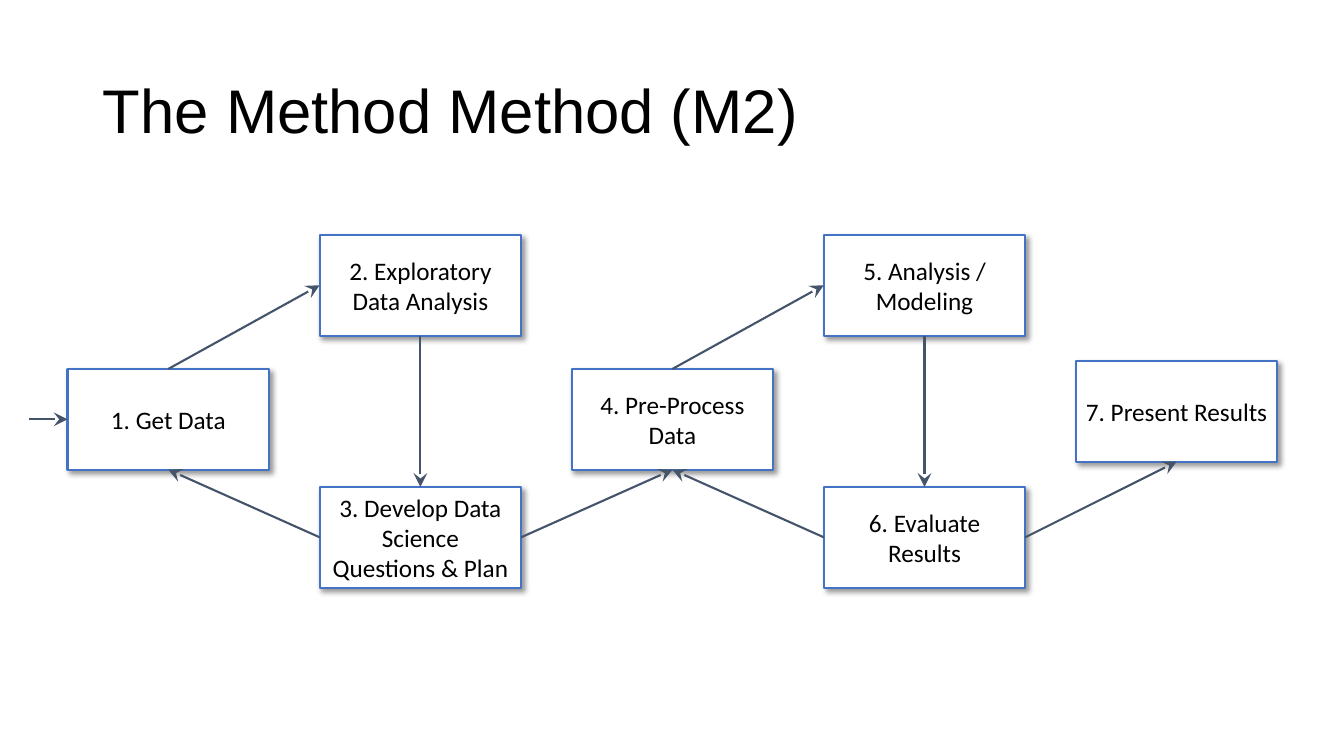
import pptx
import pptx.util
import pptx.dml.color
import pptx.enum.shapes
import pptx.enum.text
import pptx.oxml
import pptx.oxml.ns
from lxml import etree

Inches = pptx.util.Inches
RGBColor = pptx.dml.color.RGBColor
Align = pptx.enum.text.PP_ALIGN
Anchor = pptx.enum.text.MSO_ANCHOR
AutoSize = pptx.enum.text.MSO_AUTO_SIZE
qn = pptx.oxml.ns.qn

BLACK = RGBColor(0x00, 0x00, 0x00)
WHITE = RGBColor(0xFF, 0xFF, 0xFF)
BLUE = RGBColor(0x44, 0x72, 0xC4)
SLATE = RGBColor(0x44, 0x54, 0x6A)

TOP, LEFT, BOTTOM, RIGHT = range(4)
BOX_WIDTH, BOX_HEIGHT = 2, 1
FIRST_LEFT, COLUMN_STEP = 0.67, 2.5
UPPER, MIDDLE, LAST, LOWER = 2.33, 3.66, 3.58, 4.83

# step number: (label, column, top)
STEPS = {
    1: ("1. Get Data", 0, MIDDLE),
    2: ("2. Exploratory Data Analysis", 1, UPPER),
    3: ("3. Develop Data Science Questions & Plan", 1, LOWER),
    4: ("4. Pre-Process Data", 2, MIDDLE),
    5: ("5. Analysis / Modeling", 3, UPPER),
    6: ("6. Evaluate Results", 3, LOWER),
    7: ("7. Present Results", 4, LAST),
}

# (from step, side, to step, side)
FLOWS = [
    (1, TOP, 2, LEFT),
    (2, BOTTOM, 3, TOP),
    (3, LEFT, 1, BOTTOM),
    (3, RIGHT, 4, BOTTOM),
    (4, TOP, 5, LEFT),
    (5, BOTTOM, 6, TOP),
    (6, LEFT, 4, BOTTOM),
    (6, RIGHT, 7, BOTTOM),
]

SHADOW = (
    f'<a:outerShdw {pptx.oxml.ns.nsdecls("a")} blurRad="50800" dist="38100"'
    ' dir="2700000" algn="tl" rotWithShape="0">'
    '<a:srgbClr val="000000"><a:alpha val="40000"/></a:srgbClr></a:outerShdw>'
)


def apply(target, values):
    """Set each attribute of target named in values."""
    for name, value in values.items():
        setattr(target, name, value)


class FlowSlide:
    title_font = {"name": "Arial", "size": pptx.util.Pt(44)}
    box_font = {"name": "Calibri", "size": pptx.util.Pt(18)}
    line_width = pptx.util.Pt(1.5)

    def __init__(self, deck):
        self.page = deck.slides.add_slide(deck.slide_layouts[5])

    def set_text(self, shape, text, font, paragraph, frame):
        shape.text_frame.text = text
        apply(shape.text_frame, {"word_wrap": True, "vertical_anchor": Anchor.MIDDLE, **frame})
        para = shape.text_frame.paragraphs[0]
        apply(para, paragraph)
        span = para.runs[0]
        apply(span.font, font)
        span.font.color.rgb = BLACK

    def title(self, text):
        shape = self.page.shapes.title
        apply(shape, {"left": Inches(0.92), "top": Inches(0.4),
                      "width": Inches(11.5), "height": Inches(1.45)})
        self.set_text(shape, text, self.title_font,
                      {"alignment": Align.LEFT, "line_spacing": 0.9},
                      {"auto_size": AutoSize.NONE})

    def stroke(self, shape, color):
        shape.line.color.rgb = color
        shape.line.width = self.line_width

    def box(self, text, column, top):
        box = self.page.shapes.add_shape(
            pptx.enum.shapes.MSO_SHAPE.RECTANGLE,
            Inches(FIRST_LEFT + column * COLUMN_STEP), Inches(top),
            Inches(BOX_WIDTH), Inches(BOX_HEIGHT))
        box.fill.solid()
        box.fill.fore_color.rgb = WHITE
        self.stroke(box, BLUE)
        box.shadow.inherit = False
        effects = box.element.spPr.find(qn("a:effectLst"))
        effects.append(pptx.oxml.parse_xml(SHADOW))
        self.set_text(box, text, self.box_font, {"alignment": Align.CENTER},
                      {"auto_size": AutoSize.SHAPE_TO_FIT_TEXT})
        return box

    def arrow(self, end, start=None, start_x=0, start_y=0):
        """Join start to end, each a (box, side) pair; without start, use the given point."""
        x, y = Inches(start_x), Inches(start_y)
        arrow = self.page.shapes.add_connector(
            pptx.enum.shapes.MSO_CONNECTOR.STRAIGHT, x, y, x, y)
        if start:
            arrow.begin_connect(*start)
        arrow.end_connect(*end)
        self.stroke(arrow, SLATE)
        properties = arrow.element.spPr
        etree.SubElement(properties.find(qn("a:ln")), qn("a:tailEnd"),
                         type="stealth", w="lg", len="lg")
        etree.SubElement(properties, qn("a:effectLst"))


def main():
    deck = pptx.Presentation()
    apply(deck, {"slide_width": Inches(13.33), "slide_height": Inches(7.5)})
    slide = FlowSlide(deck)
    slide.title("The Method Method (M2)")
    boxes = {number: slide.box(*step) for number, step in STEPS.items()}
    for source, source_side, target, target_side in FLOWS:
        slide.arrow((boxes[target], target_side), (boxes[source], source_side))
    slide.arrow((boxes[1], LEFT), start_x=0.29, start_y=MIDDLE + BOX_HEIGHT / 2)
    deck.save("out.pptx")


if __name__ == "__main__":
    main()
